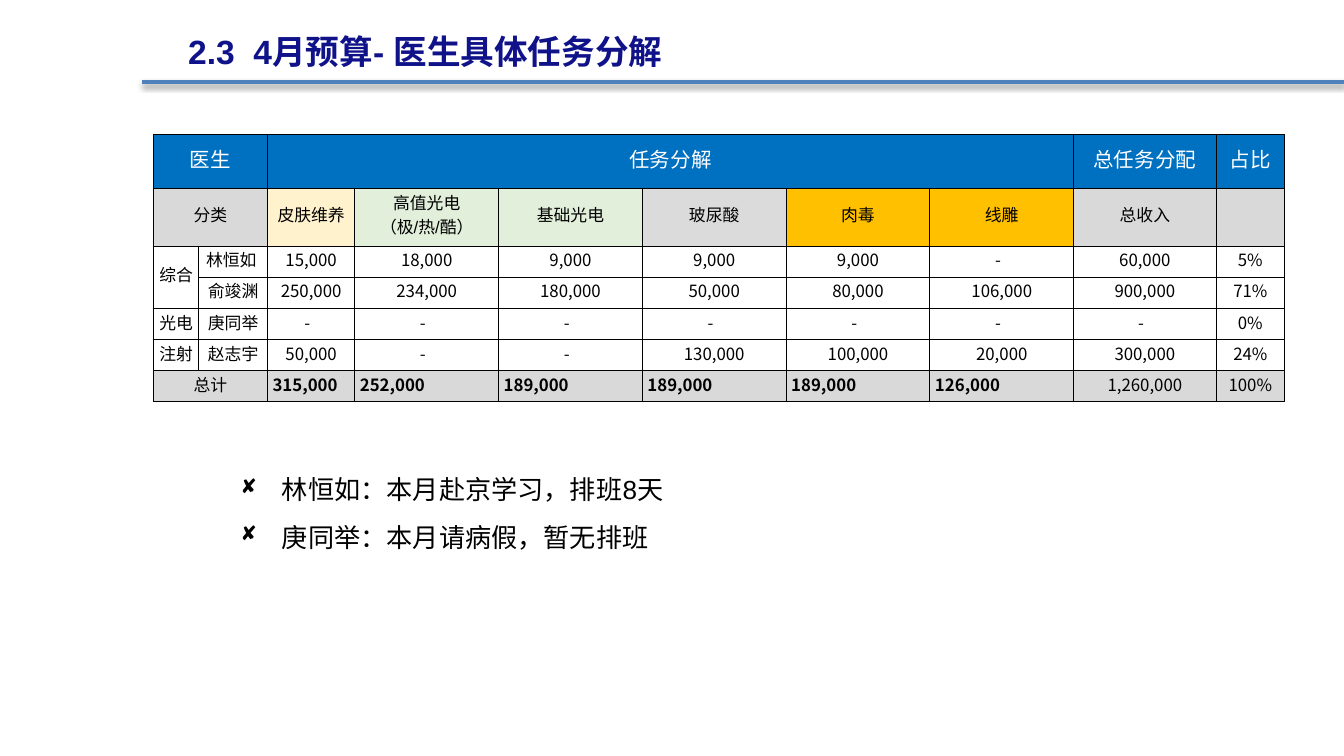
import pptx
import pptx.dml.color
import pptx.enum.shapes
import pptx.enum.text
import pptx.oxml
import pptx.oxml.ns
import pptx.util
from pptx.util import Inches

NS = pptx.oxml.ns.nsdecls("a")
ALIGN = pptx.enum.text.PP_ALIGN
ANCHOR = pptx.enum.text.MSO_ANCHOR
LATIN, CJK = "Arial", "Noto Sans CJK SC"
BLUE, GREY, WHITE, BLACK = "0070C0", "D9D9D9", "FFFFFF", "000000"

COLUMNS = [0.34, 0.51, 0.65] + [1.07] * 5 + [1.06, 0.51]
ROWS = [0.4, 0.43] + [1.16 / 5] * 5
GROUPS = [(0, "医生"), (2, "任务分解"), (8, "总任务分配"), (9, "占比")]
CATEGORIES = [("皮肤维养", "FFF2CC"), ("高值光电\n（极/热/酷）", "E2EFDA"),
              ("基础光电", "E2EFDA"), ("玻尿酸", "DBDBDB"), ("肉毒", "FFC000"),
              ("线雕", "FFC000"), ("总收入", GREY), ("", GREY)]
DOCTORS = [
    ("综合", "林恒如 ", [15000, 18000, 9000, 9000, 9000, 0, 60000], "5%"),
    ("", "俞竣渊", [250000, 234000, 180000, 50000, 80000, 106000, 900000], "71%"),
    ("光电", "庚同举", [0] * 7, "0%"),
    ("注射", "赵志宇", [50000, 0, 0, 130000, 100000, 20000, 300000], "24%"),
]
TOTALS = [315000, 252000, 189000, 189000, 189000, 126000]
MERGES = [(0, 0, 0, 1), (0, 2, 0, 7), (1, 0, 1, 1), (2, 0, 3, 0), (6, 0, 6, 1)]
NOTES = ["林恒如：本月赴京学习，排班8天", "庚同举：本月请病假，暂无排班"]


def rgb(value):
    return pptx.dml.color.RGBColor.from_string(value)


def xml(text):
    return pptx.oxml.parse_xml(text)


def add_run(p, text, size, color=BLACK, font=LATIN, bold=False):
    r = p.add_run()
    r.text = text
    r.font.size = pptx.util.Pt(size)
    r.font.bold = bold
    r.font.color.rgb = rgb(color)
    r.font.name = font
    r.font._element.append(xml(f'<a:ea {NS} typeface="{CJK}"/>'))


def place_title(s, left, top, width, height):
    sp = s.shapes.title
    sp.left, sp.top, sp.width, sp.height = map(Inches, (left, top, width, height))
    tf = sp.text_frame
    tf.word_wrap = True
    tf.auto_size = pptx.enum.text.MSO_AUTO_SIZE.NONE
    tf.vertical_anchor = ANCHOR.TOP
    p = tf.paragraphs[0]
    p.alignment = ALIGN.LEFT
    p.line_spacing = 1.5
    add_run(p, "2.3  4月预算- 医生具体任务分解", 18, "101289", bold=True)


def add_rule(s, left, top, right):
    line = s.shapes.add_connector(pptx.enum.shapes.MSO_CONNECTOR.STRAIGHT,
                                  Inches(left), Inches(top), Inches(right), Inches(top))
    line.line.color.rgb = rgb("4F81BD")
    line.line.width = pptx.util.Pt(2)
    line._element.spPr.append(xml(
        f'<a:effectLst {NS}><a:outerShdw blurRad="40000" dist="20000" dir="5400000" '
        'rotWithShape="0"><a:srgbClr val="000000"><a:alpha val="38000"/></a:srgbClr>'
        '</a:outerShdw></a:effectLst>'))


def add_borders(cell):
    tcPr = cell._tc.get_or_add_tcPr()
    for i, side in enumerate(("lnL", "lnR", "lnT", "lnB")):
        tcPr.insert(i, xml(f'<a:{side} {NS} w="6350"><a:solidFill><a:srgbClr val="{BLACK}"/>'
                           f'</a:solidFill></a:{side}>'))


def fill_cell(cell, text, fill=None, size=9, color=BLACK, font=LATIN, bold=False,
              align=ALIGN.CENTER):
    if fill:
        cell.fill.solid()
        cell.fill.fore_color.rgb = rgb(fill)
    tf = cell.text_frame
    for i, line in enumerate(text.split("\n") if text else []):
        p = tf.add_paragraph() if i else tf.paragraphs[0]
        p.alignment = align
        add_run(p, line, size, color, font, bold)


def amount(value):
    return f" {value:,} " if value else " -   "


def add_budget_table(s, left, top):
    frame = s.shapes.add_table(len(ROWS), len(COLUMNS), Inches(left), Inches(top),
                               Inches(sum(COLUMNS)), Inches(sum(ROWS)))
    table = frame.table
    table.first_row = table.horz_banding = False
    for column, width in zip(table.columns, COLUMNS):
        column.width = Inches(width)
    for row, height in zip(table.rows, ROWS):
        row.height = Inches(height)
    for cell in table.iter_cells():
        cell.fill.background()
        cell.vertical_anchor = ANCHOR.MIDDLE
        cell.margin_left = cell.margin_right = cell.margin_top = Inches(0.01)
        cell.margin_bottom = Inches(0.05)
        add_borders(cell)
    for r1, c1, r2, c2 in MERGES:
        table.cell(r1, c1).merge(table.cell(r2, c2))

    for c, text in GROUPS:
        cell = table.cell(0, c)
        if c:
            add_run(cell.text_frame.paragraphs[0], " ", 11, WHITE, CJK)
            text += " "
        fill_cell(cell, text, BLUE, 11, WHITE)
    fill_cell(table.cell(1, 0), "分类", GREY)
    for c, (text, fill) in enumerate(CATEGORIES, 2):
        fill_cell(table.cell(1, c), text, fill)
    for r, (group, name, values, share) in enumerate(DOCTORS, 2):
        fill_cell(table.cell(r, 0), group)
        fill_cell(table.cell(r, 1), name, WHITE)
        for c, text in enumerate([amount(v) for v in values] + [share], 2):
            fill_cell(table.cell(r, c), text, WHITE, font=CJK)
    last = len(ROWS) - 1
    fill_cell(table.cell(last, 0), "总计", GREY)
    for c, value in enumerate(TOTALS, 2):
        fill_cell(table.cell(last, c), f" {value:,}", GREY, font=CJK, bold=True,
                  align=ALIGN.LEFT)
    for c, text in ((8, amount(sum(TOTALS))), (9, "100%")):
        fill_cell(table.cell(last, c), text, GREY, font=CJK)


def add_notes_list(s, left, top, width, height):
    tf = s.shapes.add_textbox(*map(Inches, (left, top, width, height))).text_frame
    tf.word_wrap = True
    for i, text in enumerate(NOTES):
        p = tf.add_paragraph() if i else tf.paragraphs[0]
        p.line_spacing = 1.5
        pPr = p._p.get_or_add_pPr()
        pPr.set("marL", str(Inches(0.31)))
        pPr.set("indent", str(-Inches(0.31)))
        pPr.append(xml(f'<a:buFont {NS} typeface="Wingdings"/>'))
        pPr.append(xml(f'<a:buChar {NS} char="◻"/>'))
        add_run(p, text, 14)


def main():
    prs = pptx.Presentation()
    prs.slide_width = Inches(10)
    prs.slide_height = prs.slide_width * 9 // 16
    s = prs.slides.add_slide(prs.slide_layouts[5])
    place_title(s, 1.3, 0.03, 7.35, 0.55)
    add_rule(s, 1.06, 0.61, 10)
    add_notes_list(s, 1.69, 3.36, 5.43, 0.81)
    add_budget_table(s, 1.14, 1)
    prs.save("out.pptx")


if __name__ == "__main__":
    main()
